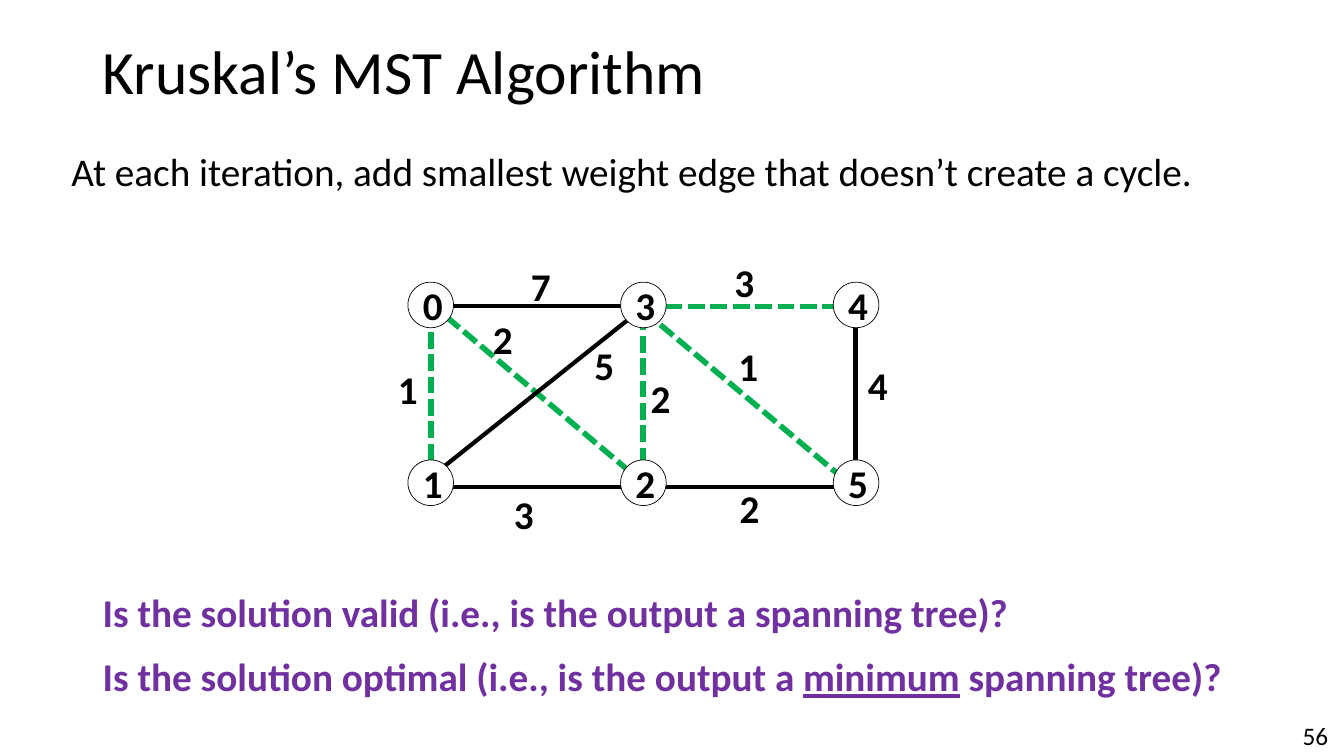
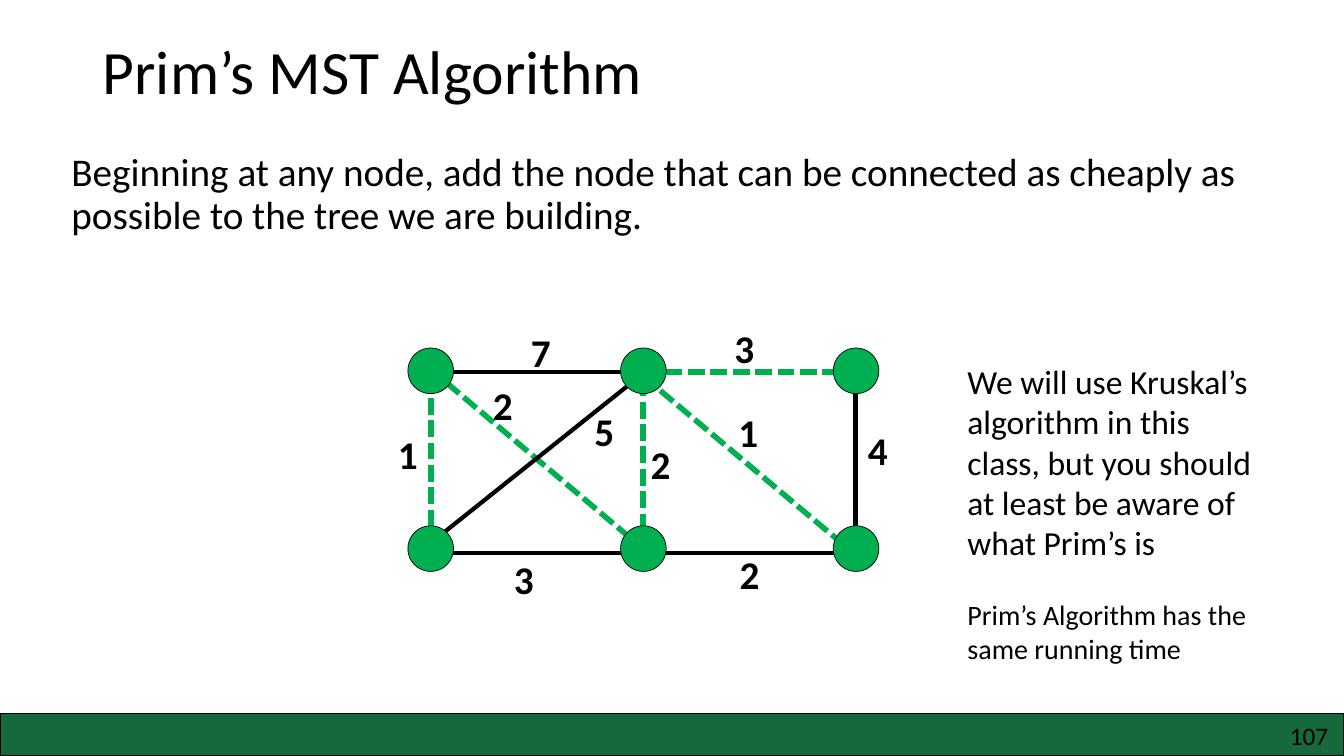
from typing import NamedTuple

from lxml.etree import SubElement
from pptx import Presentation
from pptx.dml.color import RGBColor
from pptx.enum.dml import MSO_LINE
from pptx.enum.shapes import MSO_CONNECTOR, MSO_SHAPE
from pptx.enum.text import MSO_ANCHOR as Anchor, PP_ALIGN as Align
from pptx.oxml.ns import qn
from pptx.shapes.autoshape import Shape
from pptx.shapes.shapetree import GroupShapes
from pptx.slide import Slide
from pptx.text.text import Font
from pptx.util import Cm, Pt

FONT = "Calibri"
BLACK, WHITE, GREEN, PURPLE, BAND_GREEN = "000000", "FFFFFF", "00B050", "7030A0", "15693B"
SLIDE_WIDTH, SLIDE_HEIGHT, BAND_TOP = 33.87, 19.05, 17.98
NODE_SIZE, NODE_LEFT, NODE_TOP = 1.15, 10.28, 7.11
COLUMN_PITCH, ROW_PITCH = 5.36, 4.48


class Area(NamedTuple):
    left: float
    top: float
    width: float
    height: float


class Style(NamedTuple):
    size: float
    color: str = BLACK
    bold: bool = False


class Node(NamedTuple):
    name: str
    column: int
    row: int


class Edge(NamedTuple):
    weight: str
    in_tree: bool
    start: tuple[float, float]
    end: tuple[float, float]
    label: tuple[float, float]


TITLE, BODY = Style(44), Style(28)
LABEL, QUESTION = Style(28, bold=True), Style(28, PURPLE, True)
NODES = [
    Node("0", 0, 0), Node("1", 0, 1), Node("2", 1, 1),
    Node("3", 1, 0), Node("4", 2, 0), Node("5", 2, 1),
]
EDGES = [
    Edge("1", True, (10.87, 12.17), (10.87, 7.62), (9.78, 9.07)),
    Edge("4", False, (21.56, 12.09), (21.56, 7.54), (21.62, 8.97)),
    Edge("2", True, (16.21, 12.27), (16.21, 7.72), (16.15, 9.3)),
    Edge("7", False, (10.87, 7.72), (16.33, 7.72), (13.13, 6.48)),
    Edge("3", False, (10.87, 12.27), (16.33, 12.27), (12.7, 12.22)),
    Edge("3", True, (16.21, 7.72), (21.67, 7.72), (18.26, 6.38)),
    Edge("2", False, (16.33, 12.27), (21.79, 12.27), (18.39, 12.09)),
    Edge("2", True, (10.82, 7.62), (16.21, 12.17), (12.17, 7.82)),
    Edge("1", True, (16.21, 7.82), (21.62, 12.37), (18.36, 8.51)),
    Edge("5", False, (16.21, 7.75), (10.77, 12.09), (14.73, 8.48)),
]


def rgb(color: str) -> RGBColor:
    return RGBColor.from_string(color)


def style_font(font: Font, style: Style) -> None:
    font.name, font.size, font.bold = FONT, Pt(style.size), style.bold
    font.color.rgb = rgb(style.color)


def set_margins(box: Shape, margin: float) -> None:
    frame = box.text_frame
    frame.margin_left = frame.margin_right = frame.margin_top = frame.margin_bottom = Cm(margin)


def add_text(shapes: GroupShapes, area: Area, text: str, style: Style, spacing: float = 1.0) -> Shape:
    box = shapes.add_textbox(*map(Cm, area))
    box.text_frame.word_wrap = True
    box.text_frame.text = text
    for para in box.text_frame.paragraphs:
        para.line_spacing = spacing
        for span in para.runs:
            style_font(span.font, style)
    return box


def add_filled(shapes: GroupShapes, kind: MSO_SHAPE, area: Area, fill: str, line_width: float) -> Shape:
    shape = shapes.add_shape(kind, *map(Cm, area))
    shape.shadow.inherit = False
    shape.fill.solid()
    shape.fill.fore_color.rgb = rgb(fill)
    shape.line.color.rgb = rgb(BLACK)
    shape.line.width = Pt(line_width)
    return shape


def add_edge(shapes: GroupShapes, edge: Edge, shift: float) -> None:
    (x1, y1), (x2, y2) = edge.start, edge.end
    line = shapes.add_connector(
        MSO_CONNECTOR.STRAIGHT, Cm(x1), Cm(y1 + shift), Cm(x2), Cm(y2 + shift)
    )
    line.line.color.rgb = rgb(GREEN if edge.in_tree else BLACK)
    line.line.width = Pt(4 if edge.in_tree else 3)
    if edge.in_tree:
        line.line.dash_style = MSO_LINE.SQUARE_DOT
    SubElement(line._element.spPr, qn("a:effectLst"))


def add_node(shapes: GroupShapes, node: Node, shift: float, fill: str, numbered: bool) -> None:
    left = NODE_LEFT + node.column * COLUMN_PITCH
    top = NODE_TOP + node.row * ROW_PITCH + shift
    area = Area(left, top, NODE_SIZE, NODE_SIZE)
    circle = add_filled(shapes, MSO_SHAPE.OVAL, area, fill, 0.5)
    if numbered:
        set_margins(circle, 0)
        frame = circle.text_frame
        frame.margin_left = Cm(0.1)
        frame.word_wrap = False
        frame.vertical_anchor = Anchor.MIDDLE
        frame.text = node.name
        para = frame.paragraphs[0]
        para.alignment = Align.CENTER
        style_font(para.runs[0].font, LABEL)


def add_graph(slide: Slide, shift: float, fill: str, numbered: bool) -> None:
    shapes = slide.shapes.add_group_shape().shapes
    for edge in EDGES:
        add_edge(shapes, edge, shift)
    for node in NODES:
        add_node(shapes, node, shift, fill, numbered)
    for edge in EDGES:
        left, top = edge.label
        add_text(shapes, Area(left, top + shift, 1.55, 1.45), edge.weight, LABEL)


def add_page(deck: Presentation, title: str, body: str) -> Slide:
    slide = deck.slides.add_slide(deck.slide_layouts[6])
    heading = add_text(slide.shapes, Area(2.34, 0.05, 29.21, 3.68), title, TITLE, 0.9)
    heading.text_frame.vertical_anchor = Anchor.MIDDLE
    add_text(slide.shapes, Area(1.55, 3.73, 30.76, 14.99), body, BODY, 0.9)
    return slide


def add_number(slide: Slide, number: int) -> None:
    box = add_text(slide.shapes, Area(31.62, 18.16, 1.85, 0.76), str(number), Style(18))
    set_margins(box, 0)
    box.text_frame.paragraphs[0].alignment = Align.RIGHT


def add_questions(slide: Slide) -> None:
    box = add_text(
        slide.shapes, Area(2.34, 14.71, 29.97, 3.07),
        "Is the solution valid (i.e., is the output a spanning tree)?\n"
        "Is the solution optimal (i.e., is the output a ", QUESTION,
    )
    para = box.text_frame.paragraphs[1]
    para.space_before = Pt(12)
    for text, underlined in (("minimum", True), (" spanning tree)?", False)):
        span = para.add_run()
        span.text = text
        style_font(span.font, QUESTION)
        span.font.underline = underlined


def build_kruskal(deck: Presentation) -> None:
    slide = add_page(
        deck, "Kruskal’s MST Algorithm",
        "At each iteration, add smallest weight edge that doesn’t create a cycle.",
    )
    add_graph(slide, 0, WHITE, True)
    add_questions(slide)
    add_number(slide, 56)


def build_prim(deck: Presentation) -> None:
    slide = add_page(
        deck, "Prim’s MST Algorithm",
        "Beginning at any node, add the node that can be connected as cheaply as "
        "possible to the tree we are building.",
    )
    add_graph(slide, 1.66, GREEN, False)
    band = Area(0, BAND_TOP, SLIDE_WIDTH, SLIDE_HEIGHT - BAND_TOP)
    add_filled(slide.shapes, MSO_SHAPE.RECTANGLE, band, BAND_GREEN, 1)
    add_text(
        slide.shapes, Area(24.13, 8.97, 7.98, 5.38),
        "We will use Kruskal’s algorithm in this class, but you should "
        "at least be aware of what Prim’s is", Style(24),
    )
    add_text(
        slide.shapes, Area(24.13, 14.94, 8.69, 1.96),
        "Prim’s Algorithm has the same running time", Style(20),
    )
    add_number(slide, 107)


def main() -> None:
    """Build the two spanning tree slides."""
    deck = Presentation()
    deck.slide_width, deck.slide_height = Cm(SLIDE_WIDTH), Cm(SLIDE_HEIGHT)
    build_kruskal(deck)
    build_prim(deck)
    deck.save("out.pptx")


if __name__ == "__main__":
    main()
